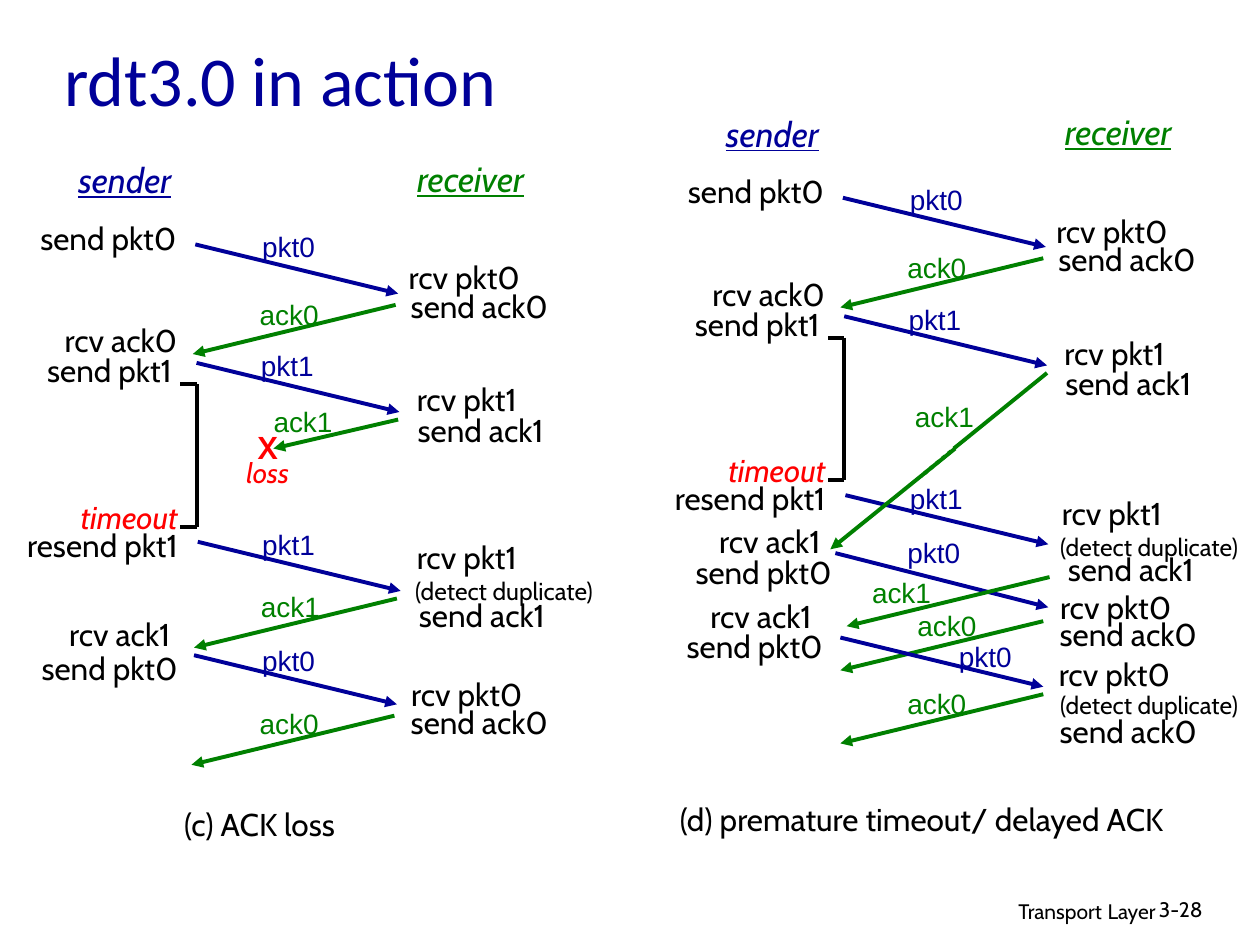
"""Build the rdt3.0 slide with two sender and receiver timelines."""
from pptx import Presentation
from pptx.dml.color import RGBColor
from pptx.enum.dml import MSO_LINE
from pptx.enum.shapes import MSO_CONNECTOR
from pptx.enum.text import MSO_ANCHOR, MSO_AUTO_SIZE, PP_ALIGN
from pptx.oxml.ns import qn
from pptx.util import Inches, Pt

BLACK, BLUE, GREEN, RED = "000000", "000099", "008000", "FF0000"
EVENT_SIZES = {
    "rcv pkt": (1.09, 0.4, 18),
    "rcv ack": (1.12, 0.4, 18),
    "send pkt": (1.28, 0.4, 18),
    "send ack": (1.31, 0.4, 18),
    "(detect duplicate": (1.72, 0.33, 14),
}
SHARED_EVENTS = [
    ("send pkt0", 0.22, 1.69), ("rcv pkt0", 3.14, 2), ("send ack0", 3.15, 2.23),
    ("rcv ack0", 0.4, 2.5), ("send pkt1", 0.23, 2.74),
    ("rcv pkt1", 3.16, 2.97), ("send ack1", 3.16, 3.21),
]
SHARED_MESSAGES = [
    ("pkt0", 1.98, 1.77, 1.55, 1.94), ("ack0", 1.96, 2.31, 3.14, 2.42),
    ("pkt1", 1.97, 2.72, 1.56, 2.88), ("pkt1", 1.98, 4.14, 1.57, 4.3),
]
LOSS_EVENTS = [
    ("rcv pkt1", 3.16, 4.22), ("(detect duplicate)", 3.14, 4.52),
    ("send ack1", 3.17, 4.68), ("rcv ack1", 0.39, 4.83), ("send pkt0", 0.23, 5.1),
    ("rcv pkt0", 3.16, 5.31), ("send ack0", 3.15, 5.53),
]
LOSS_MESSAGES = [
    ("ack1", 2.07, 3.16, 3.16, 3.33, 0.99, 0.23), ("ack1", 1.97, 4.63, 3.15, 4.75),
    ("pkt0", 1.98, 5.06, 1.54, 5.2), ("ack0", 1.96, 5.56, 3.13, 5.68),
]
DELAY_EVENTS = [
    ("rcv pkt1", 8.28, 3.87), ("(detect duplicate)", 8.26, 4.17),
    ("send ack1", 8.32, 4.32), ("rcv ack1", 5.55, 4.09), ("send pkt0", 5.42, 4.34),
    ("rcv pkt0", 8.31, 4.62), ("send ack0", 8.3, 4.83),
    ("rcv ack1", 5.48, 4.69), ("send pkt0", 5.35, 4.93),
    ("rcv pkt0", 8.3, 5.15), ("(detect duplicate)", 8.26, 5.43), ("send ack0", 8.3, 5.6),
]
DELAY_MESSAGES = [
    ("pkt0", 7.1, 4.2, 6.63, 4.39, 1.69, 0.43), ("ack1", 6.82, 4.52, 8.33, 4.58),
    ("ack0", 7.18, 4.78, 8.28, 4.93), ("pkt0", 7.51, 5.03, 6.67, 5.06),
    ("ack0", 7.1, 5.4, 8.28, 5.51),
]


def color(value):
    """Turn a hex string into a colour."""
    return RGBColor.from_string(value)


class TimelineSlide:
    """Hold the style, the slide and the offset of the current timeline."""

    def __init__(self, slide):
        """Start without an offset."""
        self.slide = slide
        self.font = "Cabin"
        self.line_width = Pt(2.25)
        self.offset = (0, 0)

    def place(self, x, y):
        """Shift a point by the current offset."""
        return Inches(round(x + self.offset[0], 2)), Inches(round(y + self.offset[1], 2))

    def run(self, paragraph, text, size, fill=BLACK, font=None, **flags):
        """Add a formatted run."""
        run = paragraph.add_run()
        run.text = text
        run.font.name = font or self.font
        run.font.size = Pt(size)
        run.font.color.rgb = color(fill)
        for name, value in flags.items():
            setattr(run.font, name, value)

    def title(self, text, left, top, width, height):
        """Fill and move the title placeholder."""
        shape = self.slide.shapes.title
        shape.left, shape.top = self.place(left, top)
        shape.width, shape.height = Inches(width), Inches(height)
        frame = shape.text_frame
        frame.vertical_anchor = MSO_ANCHOR.MIDDLE
        paragraph = frame.paragraphs[0]
        paragraph.alignment = PP_ALIGN.LEFT
        self.run(paragraph, text, 40, BLUE, "Calibri")

    def box(self, left, top, width, height, wrap=False):
        """Add an empty text box and return its frame."""
        shape = self.slide.shapes.add_textbox(
            *self.place(left, top), Inches(width), Inches(height))
        frame = shape.text_frame
        frame.word_wrap = wrap
        frame.auto_size = MSO_AUTO_SIZE.NONE if wrap else MSO_AUTO_SIZE.SHAPE_TO_FIT_TEXT
        return frame

    def label(self, text, left, top, width, height, size, *style, **flags):
        """Add a centred one-line label."""
        paragraph = self.box(left, top, width, height).paragraphs[0]
        paragraph.alignment = PP_ALIGN.CENTER
        self.run(paragraph, text, size, *style, **flags)

    def line(self, start, end, fill=BLACK, arrow=False, dash=None):
        """Add a straight line, with an arrowhead if asked."""
        connector = self.slide.shapes.add_connector(
            MSO_CONNECTOR.STRAIGHT, *self.place(*start), *self.place(*end))
        connector.line.color.rgb = color(fill)
        connector.line.width = self.line_width
        if dash:
            connector.line.dash_style = dash
        if arrow:
            outline = connector.line._get_or_add_ln()
            outline.append(outline.makeelement(qn("a:tailEnd"), {"type": "triangle"}))
        properties = connector._element.spPr
        properties.append(properties.makeelement(qn("a:effectLst"), {}))

    def event(self, text, left, top):
        """Add what one side does at a moment."""
        self.label(text, left, top, *EVENT_SIZES[text[:-1]])

    def message(self, text, left, top, x, y, reach=1.61, drop=0.39):
        """Add a message arrow and its label, packets rightwards and acks leftwards."""
        is_packet = text.startswith("pkt")
        fill, direction, width = (BLUE, 1, 0.62) if is_packet else (GREEN, -1, 0.67)
        self.line((x, y), (x + direction * reach, y + drop), fill, arrow=True)
        self.label(text, left, top, width, 0.37, 16, fill, "Arial")

    def timeout(self, right, top, bottom):
        """Add the timer bracket and the text at its end."""
        self.line((right, top), (right, bottom))
        for y in (top, bottom):
            self.line((right, y), (right - 0.13, y))
        frame = self.box(0, 3.97, 1.51, 0.55)
        lines = [("timeout", RED, True), ("resend pkt1", BLACK, False)]
        for index, (text, fill, italic) in enumerate(lines):
            paragraph = frame.add_paragraph() if index else frame.paragraphs[0]
            paragraph.alignment = PP_ALIGN.RIGHT
            paragraph.line_spacing = 0.75
            self.run(paragraph, text, 18, fill, italic=italic)

    def timeline(self, events, messages):
        """Add a list of events and a list of messages."""
        for event in events:
            self.event(*event)
        for message in messages:
            self.message(*message)

    def shared_start(self, offset):
        """Add the part both timelines have in common."""
        self.offset = offset
        self.label("sender", 0.48, 1.21, 1.02, 0.43, 20, BLUE, italic=True, underline=True)
        self.label("receiver", 3.15, 1.2, 1.17, 0.43, 20, GREEN, italic=True, underline=True)
        self.timeline(SHARED_EVENTS, SHARED_MESSAGES)
        self.timeout(1.56, 3.05, 4.18)
        self.offset = (0, 0)

    def footer(self):
        """Add the chapter name and the page number."""
        paragraph = self.box(6.1, 7.05, 3.17, 0.31, wrap=True).paragraphs[0]
        paragraph.alignment = PP_ALIGN.RIGHT
        for text, size in (("Transport", 12), (" ", 14), ("Layer", 12)):
            self.run(paragraph, text, size)
        self.run(self.box(9.1, 7.07, 0.74, 0.3, wrap=True).paragraphs[0], "3-28", 12)


def main():
    """Build and save the presentation."""
    presentation = Presentation()
    presentation.slide_width, presentation.slide_height = Inches(10), Inches(7.5)
    page = TimelineSlide(presentation.slides.add_slide(presentation.slide_layouts[5]))
    page.footer()
    page.title("rdt3.0 in action", 0.41, 0.28, 4.31, 0.68)

    page.shared_start((0, 0))
    page.timeline(LOSS_EVENTS, LOSS_MESSAGES)
    page.label("X", 1.94, 3.35, 0.37, 0.4, 18, RED, bold=True)
    page.label("loss", 1.84, 3.57, 0.57, 0.37, 16, RED, italic=True)
    page.label("(c) ACK loss", 1.3, 6.34, 1.52, 0.4, 18)

    page.shared_start((5.14, -0.37))
    page.line((8.31, 2.96), (7.57, 3.56), GREEN)
    page.line((7.55, 3.58), (7.31, 3.78), GREEN, dash=MSO_LINE.ROUND_DOT)
    page.line((7.58, 3.56), (6.59, 4.36), GREEN, arrow=True)
    page.label("ack1", 7.13, 3.12, 0.73, 0.37, 16, GREEN, "Arial")
    page.timeline(DELAY_EVENTS, DELAY_MESSAGES)
    page.label("(d) premature timeout/ delayed ACK", 5.2, 6.3, 4.23, 0.4, 18)
    presentation.save("out.pptx")


if __name__ == "__main__":
    main()
